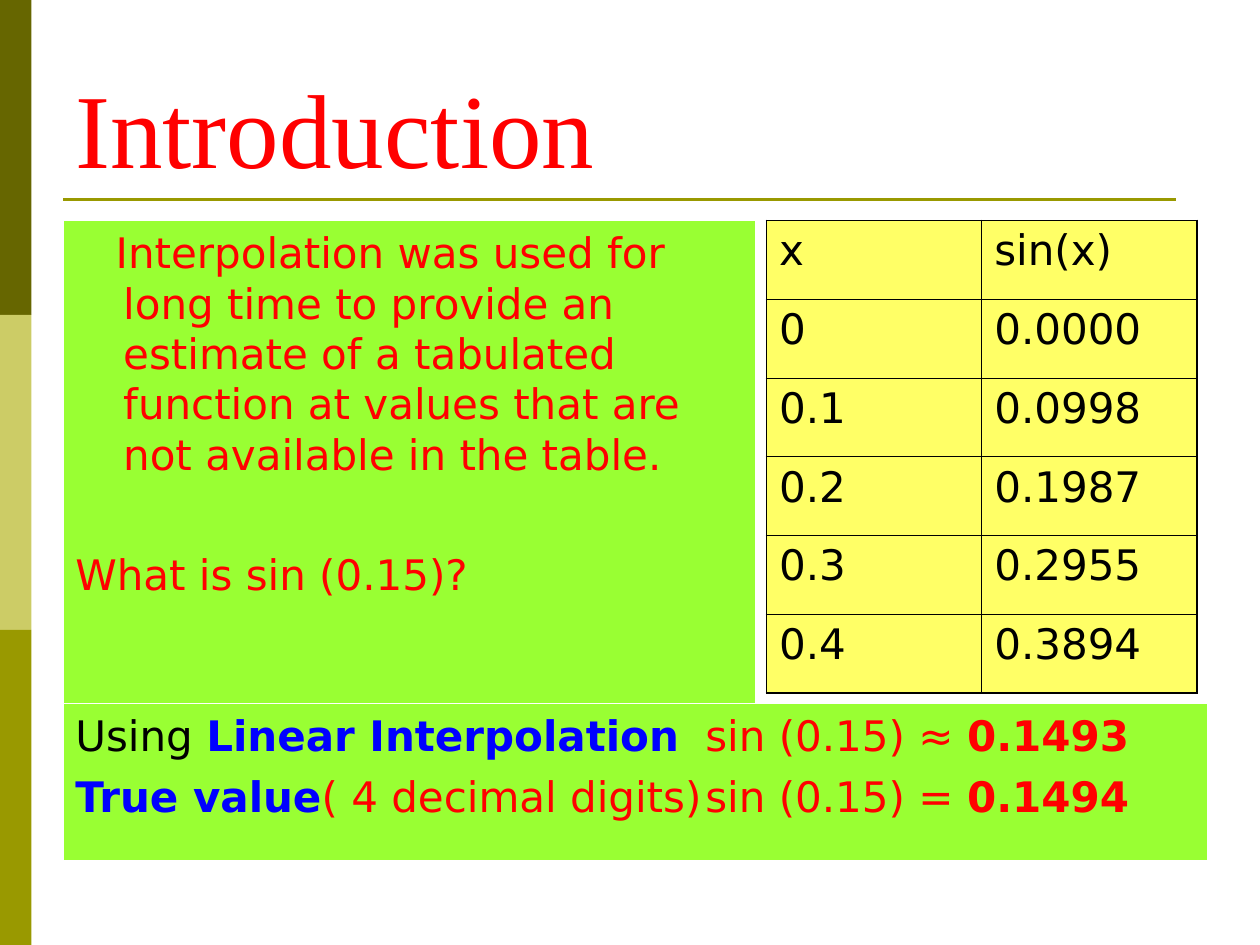
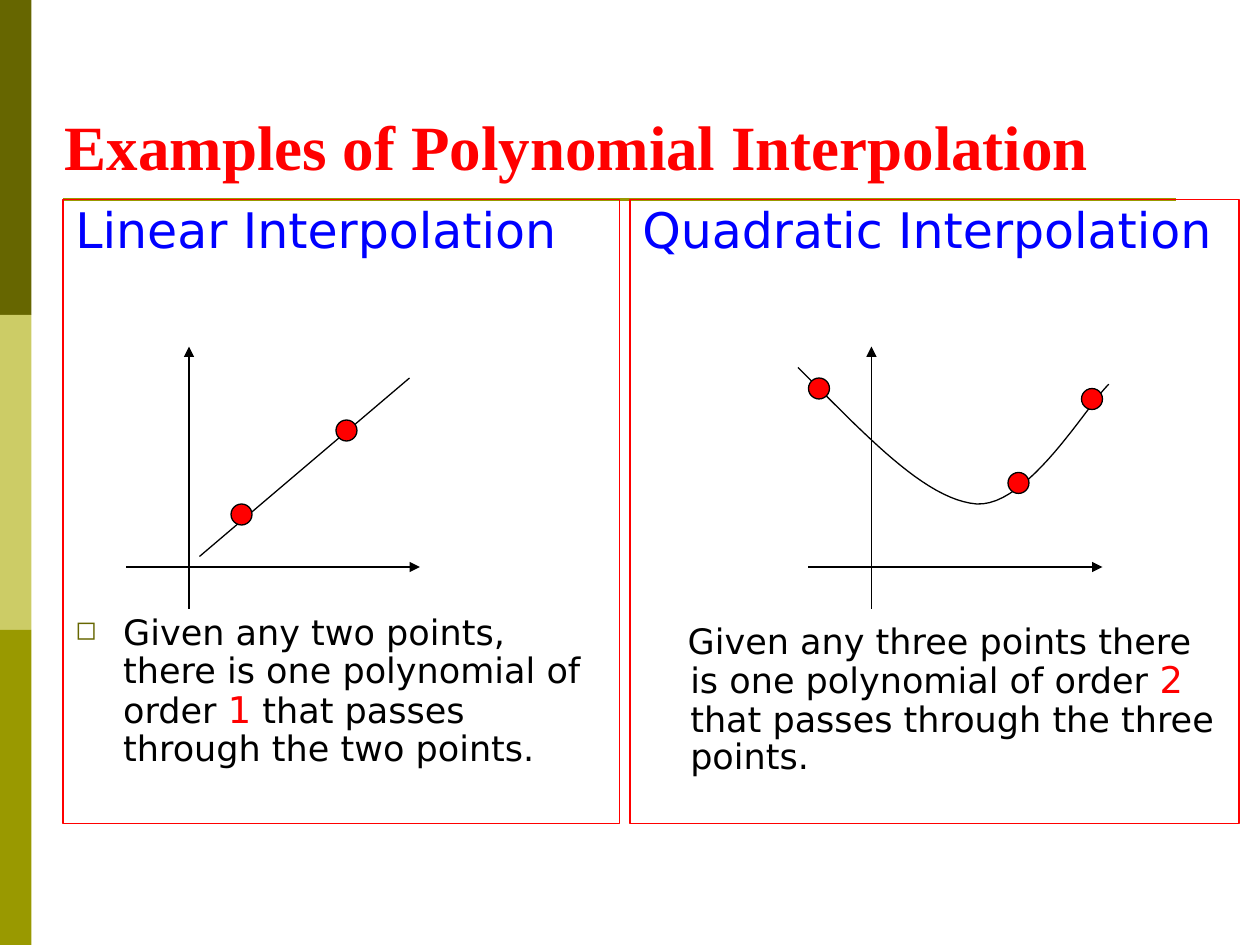
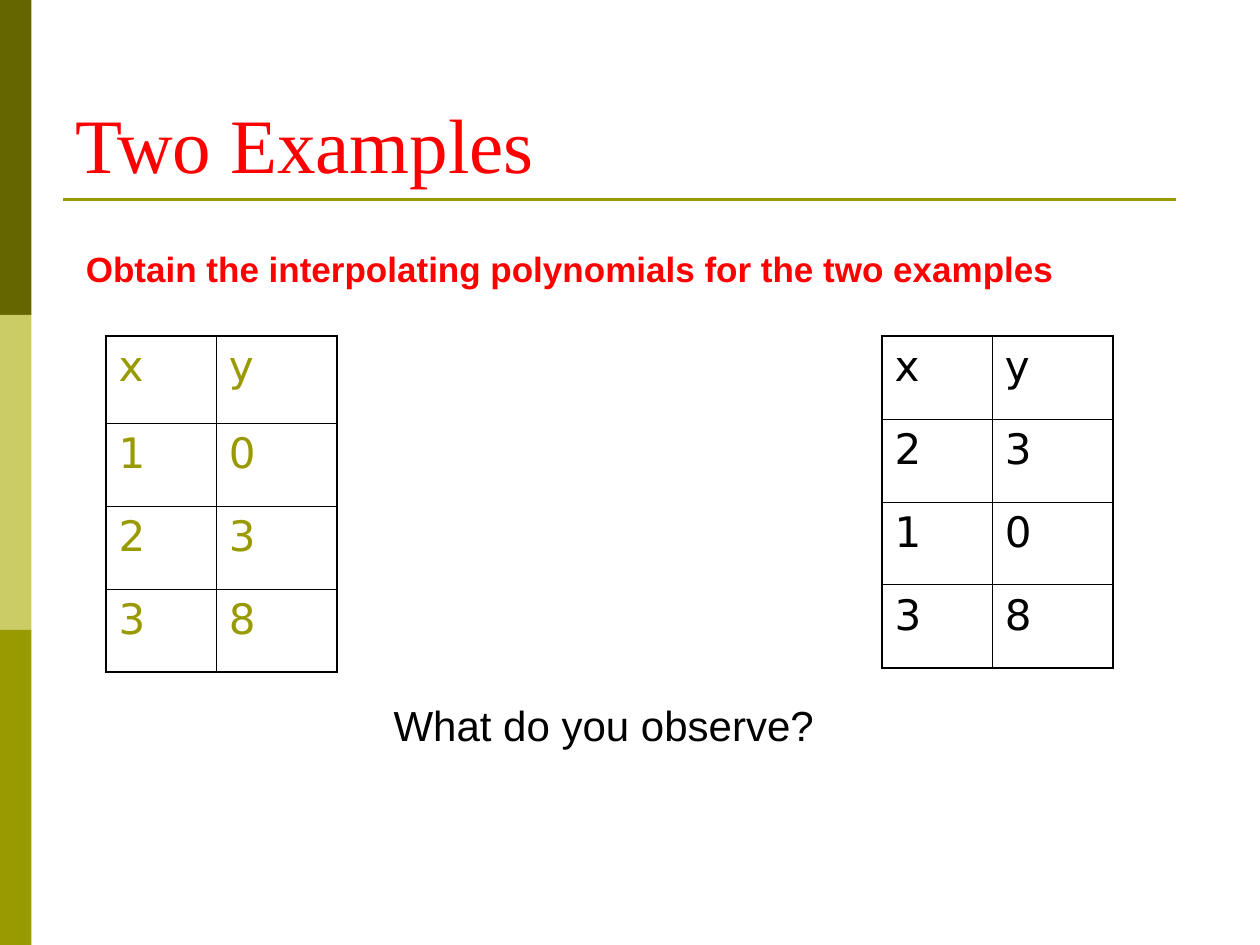
import pptx
import pptx.util
import pptx.dml.color
import pptx.enum.shapes
import pptx.enum.text
import pptx.oxml.ns
from lxml import etree

COLORS = {
    "black": "000000", "white": "FFFFFF", "red": "FF0000", "blue": "0000FF",
    "lime": "99FF33", "yellow": "FFFF66",
    "dark olive": "666600", "pale olive": "CCCC66", "olive": "999900",
}
SANS, SERIF, ARIAL = "DejaVu Sans", "Times New Roman", "Arial"
COLUMNS, ROWS = 120, 90
UNIT = pptx.util.Inches(10) / COLUMNS
BANDS = ["dark olive", "pale olive", "olive"]
BAND_WIDTH, RULE_ROW = 3, 19
DOT = 2

TITLES = [
    {"text": "Introduction", "size": 60, "at": (6, 3.6)},
    {"text": "Examples of Polynomial Interpolation", "size": 36, "at": (5, 3), "bold": True},
    {"text": "Two Examples", "size": 44, "at": (6, 3.6)},
]

QUESTION = [
    {"margin": 0.38, "indent": -0.06, "runs": [
        ("Interpolation was used for long time to provide an estimate of a tabulated "
         "function at values that are not available in the table.", "red")]},
    {"before": 40, "runs": [("What is sin (0.15)?", "red")]},
]
ANSWER = [
    {"tab": 5.22, "runs": [
        ("Using ", "black"), ("Linear Interpolation", "blue", True),
        ("\tsin (0.15) ≈ ", "red"), ("0.1493", "red", True)]},
    {"tab": 5.18, "before": 6, "runs": [
        ("True value", "blue", True), ("( 4 decimal digits)", "red"),
        ("\tsin (0.15) = ", "red"), ("0.1494", "red", True)]},
]
SINES = [("x", "sin(x)"), ("0", "0.0000"), ("0.1", "0.0998"),
         ("0.2", "0.1987"), ("0.3", "0.2955"), ("0.4", "0.3894")]

METHODS = [
    {"heading": "Linear Interpolation", "left": 6, "width": 53, "origin": 18,
     "note": {"before": 204, "margin": 0.38, "indent": -0.38, "bullet": "◻", "runs": [
         ("Given any two points, there is one polynomial of order ", "black"),
         ("1", "red", False, 21),
         (" that passes through the two points.", "black")]},
     "points": [(22, 48), (32, 40)]},
    {"heading": "Quadratic Interpolation", "left": 60, "width": 58, "origin": 83,
     "note": {"before": 209, "margin": 0.38, "indent": -0.02, "runs": [
         ("Given any three points there is one polynomial of order ", "black"),
         ("2", "red", False, 21),
         (" that passes through the three points.", "black")]},
     "points": [(77, 36), (96, 45), (103, 37)]},
]
STRAIGHT_FIT = [(19, 53), (39, 36)]
PARABOLA = [
    [(105.6, 36.6), (103.6, 38.5), (97.9, 48.3), (93, 48)],
    [(93, 48), (88.1, 47.6), (82.4, 41.4), (76, 35)],
]

TASK = "Obtain the interpolating polynomials for the two examples"
EXAMPLES = [
    {"left": 10.1, "color": "olive", "heights": [8.3, 7.9, 7.9, 7.9],
     "cells": [("x", "y"), ("1", "0"), ("2", "3"), ("3", "8")]},
    {"left": 84, "color": "black", "heights": [7.9] * 4,
     "cells": [("x", "y"), ("2", "3"), ("1", "0"), ("3", "8")]},
]
OBSERVE = "What do you observe?"


def units(*lengths):
    return [round(length * UNIT) for length in lengths]


def rgb(color):
    return pptx.dml.color.RGBColor.from_string(COLORS[color])


def add_xml(parent, tag, **attributes):
    return etree.SubElement(parent, pptx.oxml.ns.qn(tag), attributes)


def paint(shape, fill=None, line=None, width=0.75):
    shape.shadow.inherit = False
    if fill:
        shape.fill.solid()
        shape.fill.fore_color.rgb = rgb(fill)
    else:
        shape.fill.background()
    if line:
        shape.line.color.rgb = rgb(line)
        shape.line.width = pptx.util.Pt(width)
    else:
        shape.line.fill.background()


def add_run(paragraph, text, color, bold=False, size=24, font=SANS):
    run = paragraph.add_run()
    run.text = text
    run.font.name = font
    run.font.size = pptx.util.Pt(size)
    run.font.bold = bold
    run.font.color.rgb = rgb(color)


def format_paragraph(paragraph, content, align):
    properties = paragraph._p.get_or_add_pPr()
    for name, key in (("marL", "margin"), ("indent", "indent")):
        properties.set(name, str(pptx.util.Inches(content.get(key, 0))))
    if "bullet" in content:
        color = add_xml(properties, "a:buClr")
        add_xml(color, "a:srgbClr", val=COLORS["dark olive"])
        add_xml(properties, "a:buSzPct", val="75000")
        add_xml(properties, "a:buChar", char=content["bullet"])
    else:
        add_xml(properties, "a:buNone")
    if "tab" in content:
        stops = add_xml(properties, "a:tabLst")
        add_xml(stops, "a:tab", pos=str(pptx.util.Inches(content["tab"])), algn="l")
    paragraph.alignment = align
    paragraph.space_before = pptx.util.Pt(content.get("before", 0))
    paragraph.line_spacing = content.get("spacing", 1.0)


def add_text(slide, box, paragraphs, fill=None, line=None, size=24, font=SANS,
             anchor=pptx.enum.text.MSO_ANCHOR.TOP, align=pptx.enum.text.PP_ALIGN.LEFT):
    if fill or line:
        holder = slide.shapes.add_shape(pptx.enum.shapes.MSO_SHAPE.RECTANGLE, *units(*box))
        paint(holder, fill, line)
    else:
        holder = slide.shapes.add_textbox(*units(*box))
    frame = holder.text_frame
    frame.word_wrap = True
    frame.vertical_anchor = anchor
    for index, content in enumerate(paragraphs):
        paragraph = frame.add_paragraph() if index else frame.paragraphs[0]
        format_paragraph(paragraph, content, align)
        for text, color, *style in content["runs"]:
            bold, run_size = (style + [False, size][len(style):])[:2]
            add_run(paragraph, text, color, bold, run_size, font)


def add_line(slide, start, end, color="black", width=0.75, arrow=False):
    line = slide.shapes.add_connector(
        pptx.enum.shapes.MSO_CONNECTOR.STRAIGHT, *units(*start, *end))
    line.line.color.rgb = rgb(color)
    line.line.width = pptx.util.Pt(width)
    if arrow:
        add_xml(line.line._get_or_add_ln(), "a:tailEnd", type="triangle")
    add_xml(line._element.spPr, "a:effectLst")


def add_grid(slide, left, top, widths, heights, cells, color="black", fill=None):
    table = slide.shapes.add_table(
        len(heights), len(widths), *units(left, top, sum(widths), sum(heights))).table
    table.first_row = table.horz_banding = False
    for column, width in zip(table.columns, widths):
        column.width = units(width)[0]
    last_row, last_column = len(heights) - 1, len(widths) - 1
    for r, (height, values) in enumerate(zip(heights, cells)):
        table.rows[r].height = units(height)[0]
        for c, value in enumerate(values):
            cell = table.cell(r, c)
            add_run(cell.text_frame.paragraphs[0], value, color)
            outer = {"L": c == 0, "R": c == last_column, "T": r == 0, "B": r == last_row}
            for side, is_outer in outer.items():
                width = pptx.util.Pt(1.08 if is_outer else 0.45)
                border = add_xml(cell._tc.get_or_add_tcPr(), f"a:ln{side}", w=str(width))
                add_xml(add_xml(border, "a:solidFill"), "a:srgbClr", val=COLORS["black"])
            if fill:
                cell.fill.solid()
                cell.fill.fore_color.rgb = rgb(fill)
            else:
                cell.fill.background()


def bezier(controls, steps=24):
    for step in range(steps + 1):
        t = step / steps
        weights = ((1 - t) ** 3, 3 * t * (1 - t) ** 2, 3 * t ** 2 * (1 - t), t ** 3)
        yield tuple(sum(w * point[axis] for w, point in zip(weights, controls))
                    for axis in (0, 1))


def add_curve(slide, pieces):
    points = [units(*point) for piece in pieces for point in bezier(piece)]
    builder = slide.shapes.build_freeform(*points[0])
    builder.add_line_segments(points[1:], close=False)
    paint(builder.convert_to_shape(), line="black")


def add_base(deck, title):
    slide = deck.slides.add_slide(deck.slide_layouts[6])
    band_height = ROWS / len(BANDS)
    for index, color in enumerate(BANDS):
        band = slide.shapes.add_shape(
            pptx.enum.shapes.MSO_SHAPE.RECTANGLE,
            *units(0, index * band_height, BAND_WIDTH, band_height))
        paint(band, color)
    add_line(slide, (6, RULE_ROW), (112, RULE_ROW), "olive", 1.5)
    heading = {"runs": [(title["text"], "red", title.get("bold", False))]}
    add_text(slide, (*title["at"], 108, 15), [heading], size=title["size"], font=SERIF,
             anchor=pptx.enum.text.MSO_ANCHOR.BOTTOM)
    return slide


def fill_introduction(slide):
    add_text(slide, (6, 21, 66, 46), QUESTION, "lime", "white")
    add_grid(slide, 73, 21, [20.5] * 2, [7.5] * len(SINES), SINES, fill="yellow")
    add_text(slide, (6, 67, 109, 15), ANSWER, "lime", "white")


def fill_methods(slide):
    for method in METHODS:
        heading = {"spacing": 0.9, "runs": [(method["heading"], "blue", False, 28)]}
        note = {"spacing": 0.9, **method["note"]}
        add_text(slide, (method["left"], RULE_ROW, method["width"], 59.4),
                 [heading, note], line="red", size=20)
    for method in METHODS:
        origin = method["origin"]
        add_line(slide, (origin, 58), (origin, 33), arrow=True)
        add_line(slide, (origin - 6, 54), (origin + 22, 54), arrow=True)
    add_line(slide, *STRAIGHT_FIT)
    add_curve(slide, PARABOLA)
    for method in METHODS:
        for point in method["points"]:
            dot = slide.shapes.add_shape(
                pptx.enum.shapes.MSO_SHAPE.OVAL, *units(*point, DOT, DOT))
            paint(dot, "red", "black")


def fill_examples(slide):
    add_text(slide, (7, 23, 101, 5.3), [{"runs": [(TASK, "red", True)]}],
             size=20, font=ARIAL)
    for example in EXAMPLES:
        add_grid(slide, example["left"], 32, [10.5, 11.5], example["heights"],
                 example["cells"], example["color"])
    add_text(slide, (14, 66, 87, 6), [{"runs": [(OBSERVE, "black")]}],
             font=ARIAL, align=pptx.enum.text.PP_ALIGN.CENTER)


def main():
    deck = pptx.Presentation()
    deck.slide_width, deck.slide_height = units(COLUMNS, ROWS)
    for title, fill_slide in zip(TITLES, (fill_introduction, fill_methods, fill_examples)):
        fill_slide(add_base(deck, title))
    deck.save("out.pptx")


if __name__ == "__main__":
    main()
